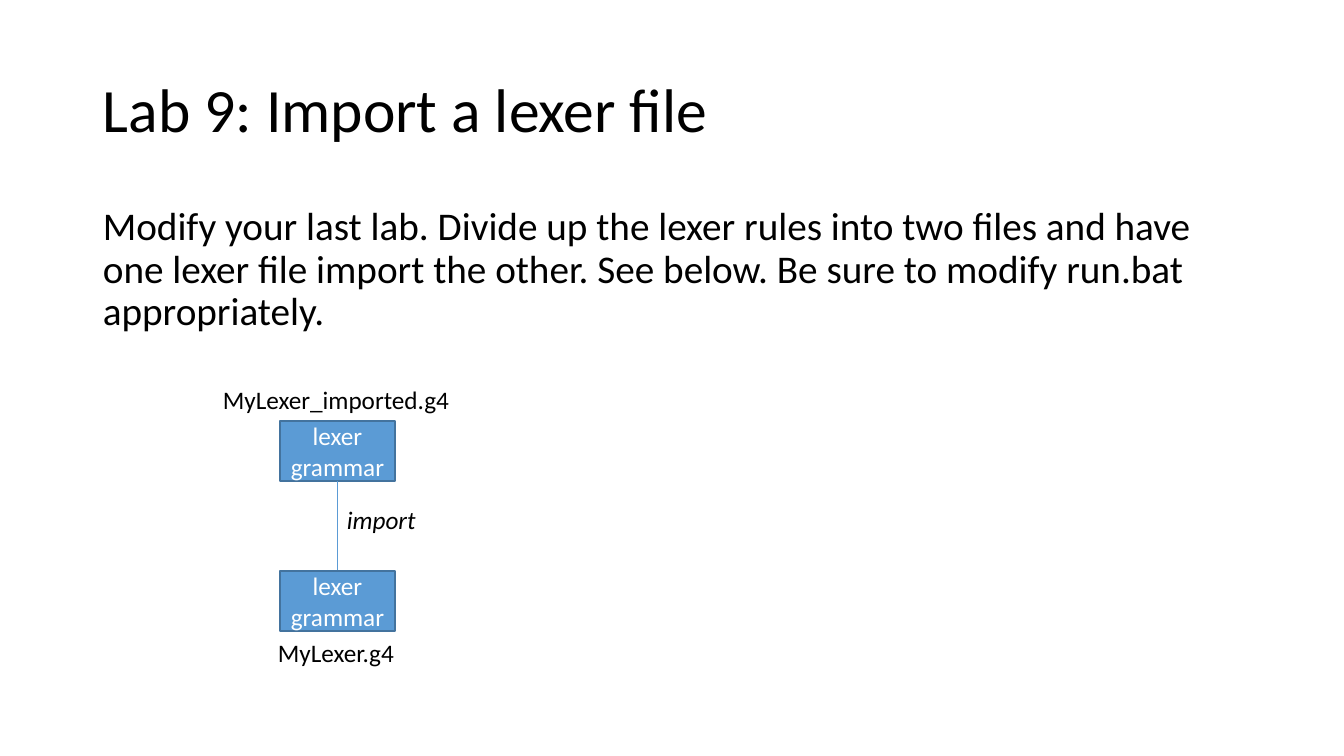
from dataclasses import dataclass

from lxml import etree
from pptx import Presentation
from pptx import util as u
from pptx.dml.color import RGBColor
from pptx.enum import shapes, text
from pptx.oxml import ns

EMU_PER_PIXEL = 914400 / 100.8
FONT = "Calibri"
BLACK = RGBColor(0x00, 0x00, 0x00)
WHITE = RGBColor(0xFF, 0xFF, 0xFF)
BLUE = RGBColor(0x5B, 0x9B, 0xD5)
DARK_BLUE = RGBColor(0x43, 0x73, 0x9E)

GRAMMAR_LEFT, GRAMMAR_WIDTH, GRAMMAR_HEIGHT = 280, 115, 60
IMPORTED_TOP, IMPORTING_TOP = 421, 571
IMPORT_X = 337


@dataclass(frozen=True)
class Label:
    """A piece of text, its frame in pixels and its look."""
    wording: str
    left: int
    top: int
    width: int
    height: int
    size: int = 18
    italic: bool = False
    wrap: bool = False
    anchor: text.MSO_ANCHOR = text.MSO_ANCHOR.TOP
    line_spacing: float = 1.0
    space_before: int = 0


LABELS = (
    Label("Lab 9: Import a lexer file", 93, 40, 1159, 146, size=44, wrap=True,
          anchor=text.MSO_ANCHOR.MIDDLE, line_spacing=0.9),
    Label("Modify your last lab. Divide up the lexer rules into two files and "
          "have one lexer file import the other. See below. Be sure to modify "
          "run.bat appropriately.", 93, 202, 1159, 159, size=28, wrap=True,
          line_spacing=0.9, space_before=10),
    Label("import", IMPORT_X, 499, 91, 40, italic=True),
    Label("MyLexer.g4", 268, 632, 137, 40),
    Label("MyLexer_imported.g4", 213, 379, 249, 40),
)


def px(pixels: int) -> u.Emu:
    """Turn pixels into EMU."""
    return u.Emu(round(pixels * EMU_PER_PIXEL))


def style_runs(frame, size: int, color: RGBColor, italic: bool = False) -> None:
    """Set the font of all runs in a text frame."""
    for paragraph in frame.paragraphs:
        for run in paragraph.runs:
            run.font.name = FONT
            run.font.size = u.Pt(size)
            run.font.color.rgb = color
            run.font.italic = italic


def add_label(slide, label: Label) -> None:
    """Add a text box for a label."""
    box = slide.shapes.add_textbox(px(label.left), px(label.top),
                                   px(label.width), px(label.height))
    frame = box.text_frame
    frame.text = label.wording
    frame.word_wrap = label.wrap
    frame.vertical_anchor = label.anchor
    if not label.wrap:
        frame.auto_size = text.MSO_AUTO_SIZE.SHAPE_TO_FIT_TEXT
    paragraph = frame.paragraphs[0]
    paragraph.line_spacing = label.line_spacing
    paragraph.space_before = u.Pt(label.space_before)
    style_runs(frame, label.size, BLACK, label.italic)


def add_grammar(slide, top: int) -> None:
    """Add a lexer grammar box."""
    grammar = slide.shapes.add_shape(
        shapes.MSO_SHAPE.RECTANGLE, px(GRAMMAR_LEFT), px(top),
        px(GRAMMAR_WIDTH), px(GRAMMAR_HEIGHT))
    grammar.shadow.inherit = False
    grammar.fill.solid()
    grammar.fill.fore_color.rgb = BLUE
    grammar.line.color.rgb = DARK_BLUE
    grammar.line.width = u.Pt(1)
    frame = grammar.text_frame
    frame.text = "lexer\ngrammar"
    frame.vertical_anchor = text.MSO_ANCHOR.MIDDLE
    for paragraph in frame.paragraphs:
        paragraph.alignment = text.PP_ALIGN.CENTER
    style_runs(frame, 18, WHITE)


def add_import_line(slide) -> None:
    """Join the two grammar boxes with a thin line."""
    link = slide.shapes.add_connector(
        shapes.MSO_CONNECTOR.STRAIGHT, px(IMPORT_X),
        px(IMPORTED_TOP + GRAMMAR_HEIGHT), px(IMPORT_X), px(IMPORTING_TOP - 1))
    link.line.color.rgb = BLUE
    link.line.width = u.Pt(0.5)
    etree.SubElement(link._element.spPr, ns.qn("a:effectLst"))


def main() -> None:
    """Build and save the slide."""
    deck = Presentation()
    deck.slide_width, deck.slide_height = px(1344), px(756)
    slide = deck.slides.add_slide(deck.slide_layouts[6])
    for top in (IMPORTING_TOP, IMPORTED_TOP):
        add_grammar(slide, top)
    add_import_line(slide)
    for label in LABELS:
        add_label(slide, label)
    deck.save("out.pptx")


main()
